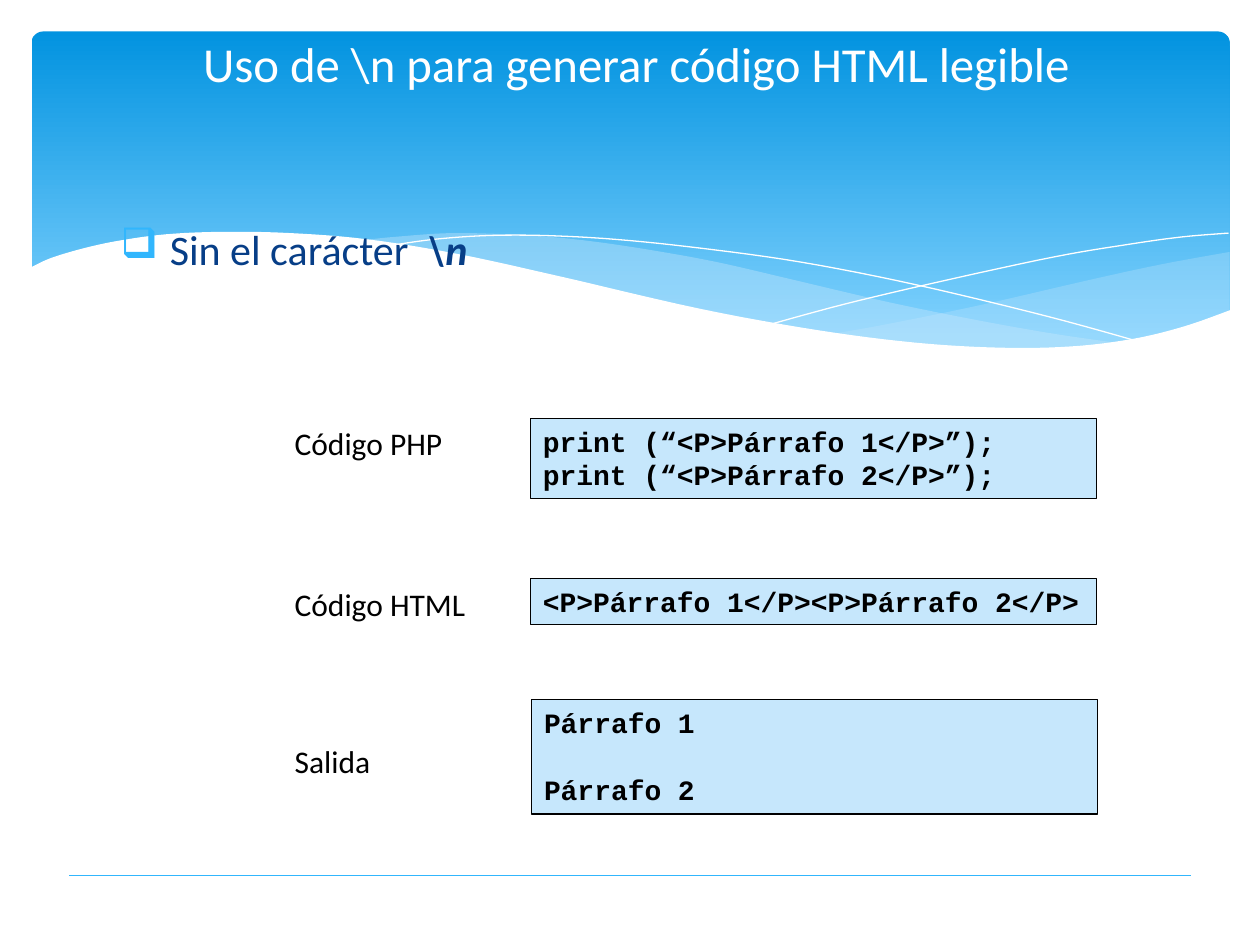
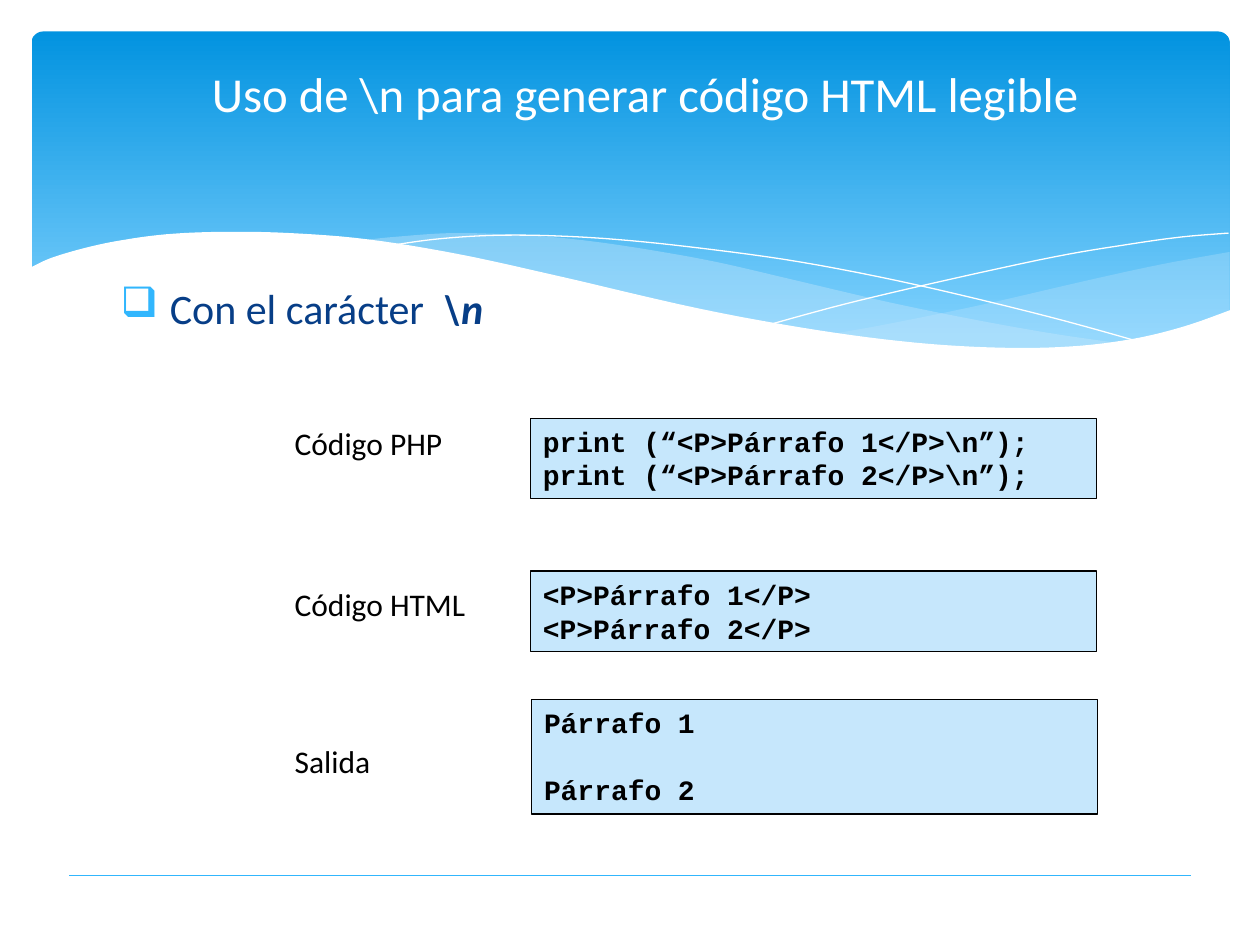
import pptx
import pptx.dml.color
import pptx.enum.shapes
import pptx.enum.text
import pptx.oxml.ns
import pptx.util
from lxml import etree

Pt = pptx.util.Pt
qn = pptx.oxml.ns.qn
Align = pptx.enum.text.PP_ALIGN
Anchor = pptx.enum.text.MSO_ANCHOR
Shape = pptx.enum.shapes.MSO_SHAPE

WHITE, BLACK = "FFFFFF", "000000"
PALE, SKY, NAVY = "C6E7FC", "31B6FD", "073E87"
BAND_TOP, BAND_BOTTOM = "0293E0", "81D2FE"

TITLE_FONT = {"name": "Calibri", "size": Pt(27.9)}
BODY_FONT = {"name": "Calibri", "size": Pt(24)}
LABEL_FONT = {"name": "Calibri", "size": Pt(18)}
CODE_FONT = {"name": "Courier New", "size": Pt(16), "bold": True}

BAND_BOX = (18, 18, 684.7, 194.4)
ROWS_BOX = (161.3, 239, 465.6, 226)

# Knots of the band's curves, measured from the band's top left corner
RIGHT_WAVE = [
    [(684.7, 126), (645, 133.2), (602, 142.6), (543, 156.2), (490.3, 167), (458, 172.8)],
    [(458, 172.8), (489.6, 177.1), (527, 180.7), (568, 182.2), (609.8, 179.3),
     (645, 172.8), (665.3, 167), (684.7, 159.8)],
]
LONG_WAVE = [
    [(625, 178.6), (584.6, 172.8), (540, 164.9), (490.3, 154.8), (434.9, 141.8),
     (391.7, 131.8), (352, 124.6), (316.8, 119.5), (284.4, 116.6), (242, 115.2),
     (207.4, 117.4), (188, 119.5)],
    [(188, 119.5), (228.2, 125.3), (272.9, 133.9), (305.3, 141.8), (363.6, 154.8),
     (414.7, 165.6), (460.8, 173.5), (501.8, 179.3), (538.6, 181.4), (571, 182.2),
     (599, 181.4), (625, 178.6)],
]
FALLING_LINE = [
    [(204.5, 122.4), (229.7, 118.8), (260.6, 116.6), (293.8, 116.6), (334, 118.8),
     (382.3, 123.8), (439.9, 131.8), (505.4, 144.7), (580.3, 162.7), (635, 177.8)],
]
RISING_LINE = [
    [(423.4, 167), (465.8, 155.5), (520.6, 142.6), (583.9, 128.9), (626.4, 121.7),
     (657.4, 117.4), (684, 115.2)],
]
WHITE_WAVE = [
    [(685.4, 159.1), (658.8, 168.5), (629.3, 175.7), (594, 180), (553, 180.7),
     (504.7, 177.8), (448.6, 170.6), (381.6, 158.4), (303.8, 140.4), (244.8, 127.4),
     (192.2, 118.8), (147.6, 115.2), (109.4, 114.5), (77, 115.9), (50.4, 119.5),
     (30.2, 123.8), (10.8, 129.6), (-1.4, 135.4)],
    [(-1.4, 218.9), (685.4, 218.9)],
]


def color(value):
    return pptx.dml.color.RGBColor.from_string(value)


def points(*lengths):
    return [Pt(length) for length in lengths]


def add_span(para, text, font, ink):
    span = para.add_run()
    span.text = text
    for name, value in font.items():
        setattr(span.font, name, value)
    span.font.color.rgb = color(ink)


def set_frame(shape, **settings):
    frame = shape.text_frame
    defaults = {"word_wrap": True, "vertical_anchor": Anchor.TOP}
    margins = {"margin_left": Pt(7.2), "margin_right": Pt(7.2),
               "margin_top": Pt(3.6), "margin_bottom": Pt(3.6)}
    for name, value in {**defaults, **margins, **settings}.items():
        setattr(frame, name, value)
    return frame


def smooth_curve(knots, steps=6):
    """Points of a Catmull-Rom spline through the knots."""
    ends = [knots[0], *knots, knots[-1]]
    curve = [knots[0]]
    for a, b, c, d in zip(ends, ends[1:], ends[2:], ends[3:]):
        for step in range(1, steps + 1):
            t = step / steps
            curve.append(tuple(
                b[i] + t * (c[i] - a[i]) / 2
                + t ** 2 * (2 * a[i] - 5 * b[i] + 4 * c[i] - d[i]) / 2
                + t ** 3 * (3 * b[i] - a[i] - 3 * c[i] + d[i]) / 2
                for i in (0, 1)))
    return curve


def add_curves(page, box, curves, fill=None, alpha=100):
    """Filled outline, or a thin white open line when there is no fill."""
    left, top = box[:2]
    spots = [points(left + x, top + y) for knots in curves for x, y in smooth_curve(knots)]
    builder = page.shapes.build_freeform(*spots[0])
    builder.add_line_segments(spots[1:], close=fill is not None)
    shape = builder.convert_to_shape()
    shape.shadow.inherit = False
    if fill is None:
        shape.fill.background()
        shape.line.color.rgb = color(WHITE)
        shape.line.width = Pt(0.75)
        return
    shape.fill.solid()
    shape.fill.fore_color.rgb = color(fill)
    shape.line.fill.background()
    if alpha < 100:
        ink = shape.element.spPr.find(".//" + qn("a:srgbClr"))
        etree.SubElement(ink, qn("a:alpha"), val=str(alpha * 1000))


def add_band(page, box):
    band = page.shapes.add_shape(Shape.ROUNDED_RECTANGLE, *points(*box))
    band.adjustments[0] = 0.034
    band.shadow.inherit = False
    band.line.fill.background()
    band.fill.gradient()
    band.fill.gradient_angle = 270
    stops = zip(band.fill.gradient_stops, (0, 0.9), (BAND_TOP, BAND_BOTTOM))
    for stop, position, ink in stops:
        stop.position = position
        stop.color.rgb = color(ink)
    add_curves(page, box, RIGHT_WAVE, PALE, 29)
    add_curves(page, box, LONG_WAVE, PALE, 40)
    add_curves(page, box, FALLING_LINE)
    add_curves(page, box, RISING_LINE)
    add_curves(page, box, WHITE_WAVE, WHITE)


def add_title(page, box, text):
    para = set_frame(page.shapes.add_textbox(*points(*box))).paragraphs[0]
    para.alignment = Align.CENTER
    add_span(para, text, TITLE_FONT, WHITE)


def add_bullet(page, box, text, emphasis):
    para = set_frame(page.shapes.add_textbox(*points(*box))).paragraphs[0]
    para.line_spacing = 0.8
    props = para._p.get_or_add_pPr()
    props.set("marL", str(Pt(28)))
    props.set("indent", str(Pt(-28)))
    bullet_color = etree.SubElement(props, qn("a:buClr"))
    etree.SubElement(bullet_color, qn("a:srgbClr"), val=SKY)
    etree.SubElement(props, qn("a:buChar"), char="❑")
    add_span(para, text, BODY_FONT, NAVY)
    add_span(para, emphasis, {**BODY_FONT, "bold": True, "italic": True}, NAVY)


def add_rule(page, left, top, width):
    rule = page.shapes.add_connector(
        pptx.enum.shapes.MSO_CONNECTOR.STRAIGHT, *points(left, top, left + width, top))
    rule.line.color.rgb = color(SKY)
    rule.line.width = Pt(0.75)
    etree.SubElement(rule.element.spPr, qn("a:effectLst"))


def add_label(page, left, top, width, text):
    label = page.shapes.add_textbox(*points(left, top, width, 28.8))
    frame = set_frame(label, word_wrap=False)
    add_span(frame.paragraphs[0], text, LABEL_FONT, BLACK)


def add_code(page, left, top, lines, gap=0, anchor=Anchor.TOP):
    """Code box as high as its lines; gap is the space between them, in lines."""
    height = 7 + 19.5 * (len(lines) + gap * (len(lines) - 1))
    panel = page.shapes.add_shape(Shape.RECTANGLE, *points(left, top, 323.3, height))
    panel.shadow.inherit = False
    panel.fill.solid()
    panel.fill.fore_color.rgb = color(PALE)
    panel.line.color.rgb = color(BLACK)
    panel.line.width = Pt(0.75)
    frame = set_frame(panel, vertical_anchor=anchor)
    for index, line in enumerate(lines):
        para = frame.add_paragraph() if index else frame.paragraphs[0]
        para.alignment = Align.LEFT
        if index and gap:
            para.space_before = Pt(19 * gap)
        add_span(para, line, CODE_FONT, BLACK)


def add_rows(page, box, php, html, html_top, html_anchor):
    left, top = box[:2]
    code_left = left + 141.8
    add_code(page, code_left, top, php)
    add_label(page, left, top, 100, "Código PHP")
    add_code(page, code_left, top + html_top, html, anchor=html_anchor)
    add_label(page, left, top + 91.5, 113, "Código HTML")
    add_code(page, code_left + 0.7, top + 160.6, ["Párrafo 1", "Párrafo 2"], gap=1)
    add_label(page, left, top + 181.5, 58.3, "Salida")


def add_example(deck, title_at, bullet_top, bullet, **rows):
    page = deck.slides.add_slide(deck.slide_layouts[6])
    add_band(page, BAND_BOX)
    add_title(page, (*title_at, 648, 41), r"Uso de \n para generar código HTML legible")
    add_bullet(page, (61.9, bullet_top, 602, 498.2 - bullet_top), bullet, r"\n")
    add_rule(page, 39.6, 500.4, 640.8)
    add_rows(page, ROWS_BOX, **rows)


def main():
    deck = pptx.Presentation()
    deck.slide_width, deck.slide_height = points(720, 540)
    add_example(
        deck, (39.6, 16), 129.6, "Sin el carácter  ",
        php=["print (“<P>Párrafo 1</P>”);", "print (“<P>Párrafo 2</P>”);"],
        html=["<P>Párrafo 1</P><P>Párrafo 2</P>"],
        html_top=91.5, html_anchor=Anchor.TOP)
    add_example(
        deck, (44.6, 32.7), 163.3, "Con el carácter  ",
        php=[r"print (“<P>Párrafo 1</P>\n”);", r"print (“<P>Párrafo 2</P>\n”);"],
        html=["<P>Párrafo 1</P>", "<P>Párrafo 2</P>"],
        html_top=87.2, html_anchor=Anchor.MIDDLE)
    deck.save("out.pptx")


if __name__ == "__main__":
    main()
